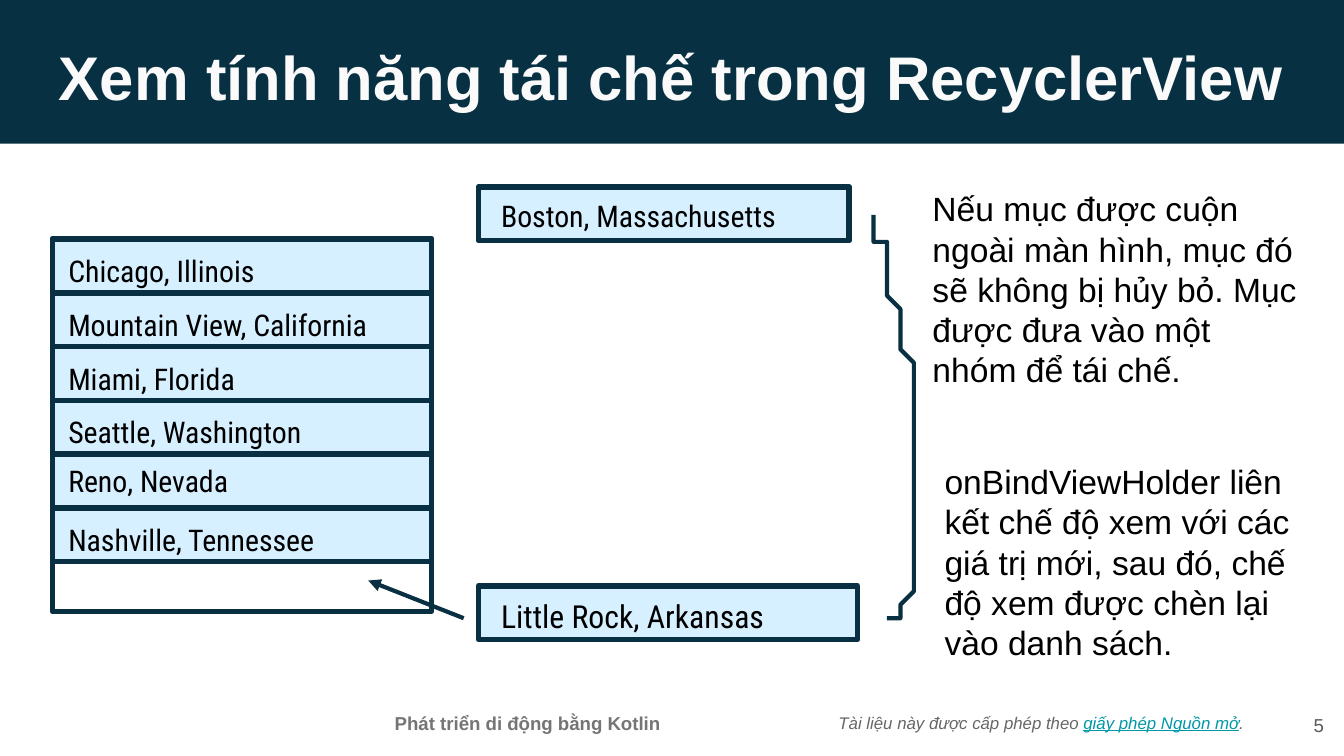
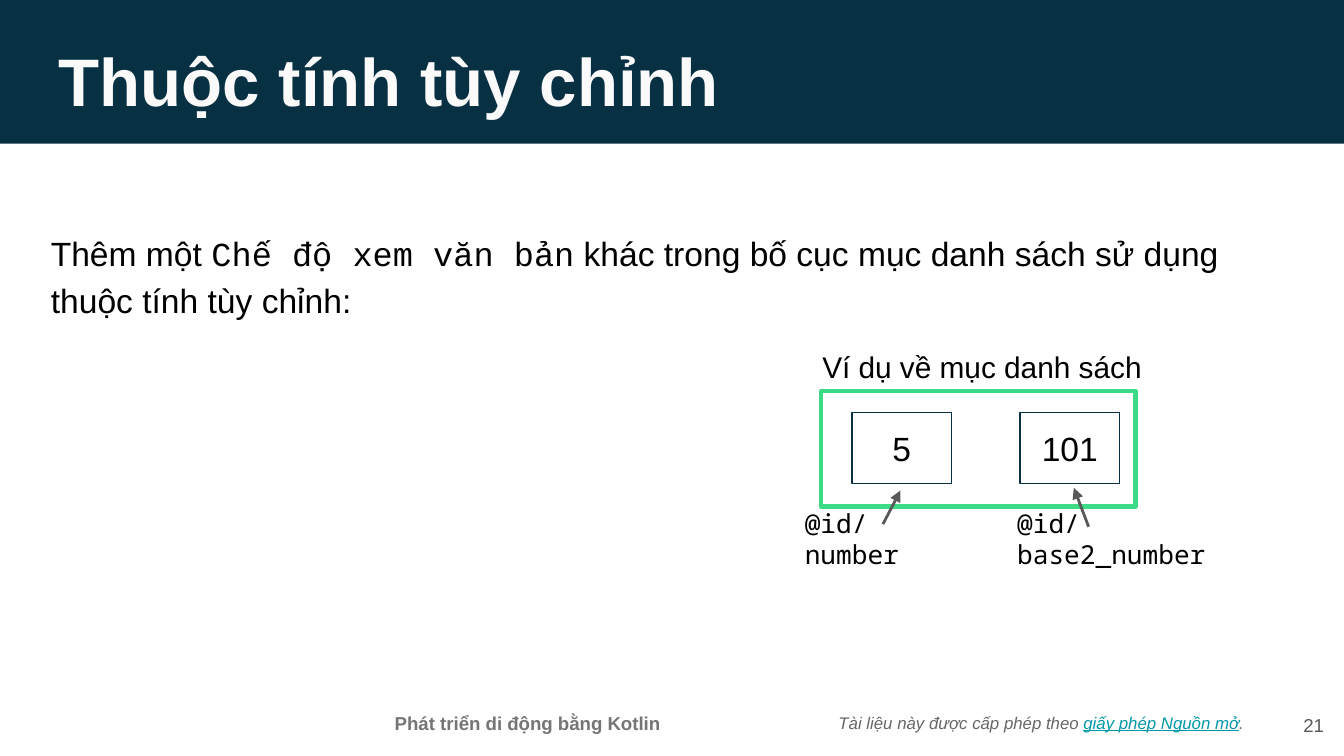
import pptx
import pptx.util
import pptx.dml.color
import pptx.enum.shapes
import pptx.enum.text
import pptx.oxml
import pptx.oxml.ns

# Grid: 100 columns by 56.25 rows of square cells, each 0.1 inch
COLS, ROWS = 100, 56.25
CELL = pptx.util.Inches(0.1)

COLORS = {
    "band": "073042", "ink": "083042", "item": "D6F0FF", "frame": "3DDB85",
    "title": "FAFAFA", "text": "000000", "foot": "757575", "legal": "666666",
    "link": "0097A7", "gray": "595959",
}
ALIGN = pptx.enum.text.PP_ALIGN
ANCHOR = pptx.enum.text.MSO_ANCHOR
SANS, MONO, NARROW = "Arial", "Noto Sans Mono", "Roboto Condensed"


def color(name):
    return pptx.dml.color.RGBColor.from_string(COLORS[name])


def cells(*nums):
    return [round(n * CELL) for n in nums]


def write(shape, runs, size=18, font=SANS, ink="text", bold=False,
          italic=False, align=ALIGN.LEFT, anchor=ANCHOR.TOP,
          space=None, before=None):
    """Fill a shape with one paragraph; runs is a string or (string, changes) pairs."""
    frame = shape.text_frame
    frame.word_wrap = True
    frame.vertical_anchor = anchor
    frame.margin_left = frame.margin_right = CELL
    frame.margin_top = frame.margin_bottom = CELL
    para = frame.paragraphs[0]
    para.alignment = align
    if space:
        para.line_spacing = space
    if before:
        para.space_before = pptx.util.Pt(before)
    for words, change in [(runs, {})] if isinstance(runs, str) else runs:
        run = para.add_run()
        run.text = words
        face = run.font
        face.size = pptx.util.Pt(size)
        face.name = change.get("font", font)
        face.color.rgb = color(change.get("ink", ink))
        face.bold, face.italic = bold, italic
        face.underline = change.get("under", False)


def label(slide, place, runs, **form):
    write(slide.shapes.add_textbox(*cells(*place)), runs, **form)


def stroke(line, ink, width):
    line.color.rgb = color(ink)
    line.width = pptx.util.Pt(width)


def box(slide, place, fill=None, ink=None, width=1):
    kind = pptx.enum.shapes.MSO_SHAPE.RECTANGLE
    shape = slide.shapes.add_shape(kind, *cells(*place))
    shape.shadow.inherit = False
    if fill:
        shape.fill.solid()
        shape.fill.fore_color.rgb = color(fill)
    else:
        shape.fill.background()
    if ink:
        stroke(shape.line, ink, width)
    else:
        shape.line.fill.background()
    return shape


def arrow(slide, ends, ink, width):
    kind = pptx.enum.shapes.MSO_CONNECTOR.STRAIGHT
    link = slide.shapes.add_connector(kind, *cells(*ends))
    stroke(link.line, ink, width)
    tail = pptx.oxml.parse_xml(
        '<a:tailEnd %s type="triangle"/>' % pptx.oxml.ns.nsdecls("a"))
    link.line._get_or_add_ln().append(tail)
    flat = pptx.oxml.parse_xml('<a:effectLst %s/>' % pptx.oxml.ns.nsdecls("a"))
    link._element.spPr.append(flat)


def curve(slide, start, parts, ink, width, steps=16):
    """Draw an open line through cubic parts, each two handles and an end."""
    dots = [start]
    for one, two, end in parts:
        first = dots[-1]
        for step in range(1, steps + 1):
            t = step / steps
            u = 1 - t
            dots.append(tuple(
                u**3 * a + 3 * u * u * t * b + 3 * u * t * t * c + t**3 * d
                for a, b, c, d in zip(first, one, two, end)))
    build = slide.shapes.build_freeform(*start, scale=CELL)
    build.add_line_segments(dots[1:], close=False)
    shape = build.convert_to_shape()
    shape.shadow.inherit = False
    shape.fill.background()
    stroke(shape.line, ink, width)


def base(deck, title, size, number):
    """Add a slide with the shared band, title and footers."""
    slide = deck.slides.add_slide(deck.slide_layouts[6])
    box(slide, (-0.1, -0.4, COLS + 0.1, 11.1), fill="band")
    label(slide, (3.4, 1.9, 93.2, 6.3), title, size=size, ink="title", bold=True)
    label(slide, (25.1, 52.1, 28.3, 3.2), "Phát triển di động bằng Kotlin",
          size=10, ink="foot", bold=True, align=ALIGN.CENTER)
    label(slide, (61.4, 51.4, 32.9, 4.7), [
        ("Tài liệu này được cấp phép theo ", {}),
        ("giấy phép Nguồn mở", {"ink": "link", "under": True}),
        (".", {})], size=9, ink="legal", italic=True, anchor=ANCHOR.MIDDLE)
    label(slide, (93.5, 51.8, 6, 4.3), str(number), size=10, ink="gray",
          align=ALIGN.RIGHT, anchor=ANCHOR.MIDDLE)
    return slide


def recycle(deck):
    slide = base(deck, "Xem tính năng tái chế trong RecyclerView", 33, 5)
    edge = {"ink": "ink", "width": 3}

    # List on screen, with an empty last row
    left, top, wide, pitch = 3.9, 17.8, 28.2, 4
    box(slide, (left, top, wide, 27.7), **edge)
    names = ["Chicago, Illinois", "Mountain View, California",
             "Miami, Florida", "Seattle, Washington", "Reno, Nevada",
             "Nashville, Tennessee"]
    for row, name in enumerate(names):
        y = top + row * pitch
        box(slide, (left, y, wide, pitch), fill="item", **edge)
        lift = 0.4 if name.startswith("Reno") else 0
        label(slide, (left + 0.2, y - lift, 25.7, 2.9), name,
              size=16, font=NARROW)

    # Items scrolled off and coming in
    for name, y, span, size in [("Boston, Massachusetts", 13.9, 27.6, 16),
                                ("Little Rock, Arkansas", 43.6, wide, 17)]:
        box(slide, (35.6, y, span, pitch), fill="item", **edge)
        label(slide, (36.3, y - 0.2, 25.7, 2.9), name, size=size, font=NARROW)
    arrow(slide, (34.5, 46, 27.4, 43.2), "ink", 2.25)
    curve(slide, (64.9, 16), [
        ((65.4, 18.2), (67.4, 24.7), (67.9, 29.2)),
        ((68.4, 33.7), (68.3, 40.2), (67.9, 43.1)),
        ((67.5, 45.9), (66, 45.9), (65.7, 46.4))], "ink", 2.25)

    # Explanations
    label(slide, (68.4, 13, 29.6, 15.6),
          "Nếu mục được cuộn ngoài màn hình, mục đó sẽ không bị hủy bỏ. "
          "Mục được đưa vào một nhóm để tái chế.")
    label(slide, (69.3, 33.3, 30.7, 9.1),
          "onBindViewHolder liên kết chế độ xem với các giá trị mới, sau đó, "
          "chế độ xem được chèn lại vào danh sách.")


def custom(deck):
    slide = base(deck, "Thuộc tính tùy chỉnh", 36, 21)
    mid = {"anchor": ANCHOR.MIDDLE}
    label(slide, (2.8, 18.2, 93.8, 4.3), [
        ("Thêm một ", {}),
        ("Chế độ xem văn bản", {"font": "Courier New"}),
        (" khác trong bố cục mục danh sách sử dụng thuộc tính tùy chỉnh:", {})],
        space=1.15, before=10, **mid)

    # Sample list item
    label(slide, (60.2, 26, 30.3, 2.6), "Ví dụ về mục danh sách", size=16, **mid)
    box(slide, (61.1, 29.1, 23.4, 8.6), ink="frame", width=2.25)
    for x, value in [(63.4, "5"), (75.9, "101")]:
        field = box(slide, (x, 30.7, 7.4, 5.3), ink="ink", width=0.75)
        write(field, value, align=ALIGN.CENTER, **mid)

    # Field names and their pointers
    for x, wide, name in [(58.9, 13.6, "@id/number"),
                          (74.7, 20, "@id/base2_number")]:
        label(slide, (x, 39, wide, 2.1), name, size=14, font=MONO, **mid)
    for ends in [(65.7, 39, 67, 36.5), (81, 39.2, 79.9, 36.3)]:
        arrow(slide, ends, "gray", 1.5)


def main():
    deck = pptx.Presentation()
    deck.slide_width, deck.slide_height = cells(COLS, ROWS)
    recycle(deck)
    custom(deck)
    deck.save("out.pptx")


main()
